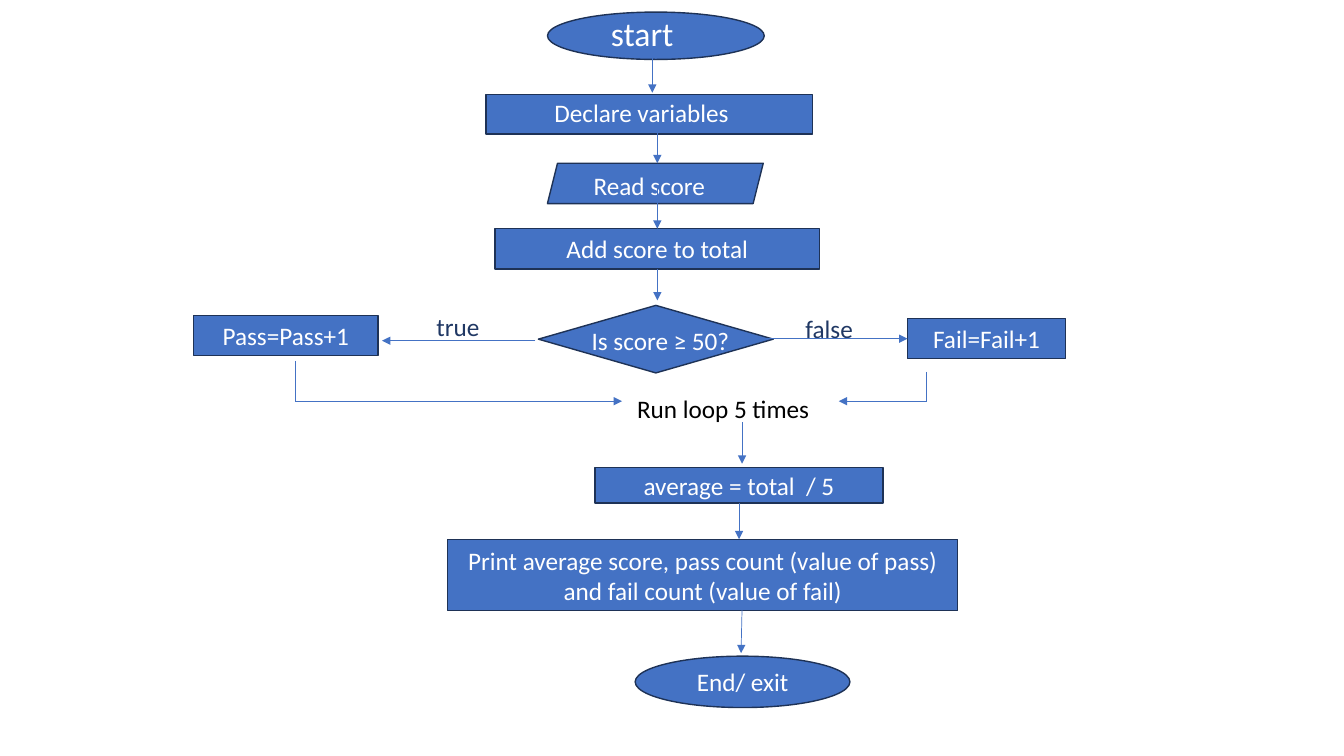
"""Build a flowchart slide that counts passing and failing scores."""
from lxml import etree
from pptx import Presentation
from pptx.dml.color import RGBColor
from pptx.enum import shapes, text
from pptx.oxml import ns
from pptx.util import Inches, Pt

BLUE = RGBColor(0x44, 0x72, 0xC4)
OUTLINE = RGBColor(0x1E, 0x32, 0x56)
NAVY = RGBColor(0x20, 0x38, 0x64)
WHITE = RGBColor(0xFF, 0xFF, 0xFF)
BLACK = RGBColor(0, 0, 0)
KIND = shapes.MSO_SHAPE

deck = Presentation()
deck.slide_width, deck.slide_height = Inches(13.33), Inches(7.5)
page = deck.slides.add_slide(deck.slide_layouts[6])


def write(box, words, size, color, align):
    box.text_frame.word_wrap = True
    para = box.text_frame.paragraphs[0]
    para.alignment = align
    span = para.add_run()
    span.text = words
    for name, value in {"name": "Calibri", "size": Pt(size)}.items():
        setattr(span.font, name, value)
    span.font.color.rgb = color


steps = {
    "start": (KIND.OVAL, 5.43, 0.12, 2.15, 0.47, ""),
    "declare": (KIND.RECTANGLE, 4.82, 0.94, 3.24, 0.39, ""),
    "read": (KIND.PARALLELOGRAM, 5.43, 1.62, 2.14, 0.4, ""),
    "add": (KIND.RECTANGLE, 4.91, 2.27, 3.22, 0.4, ""),
    "decision": (KIND.FLOWCHART_DECISION, 5.34, 3.03, 2.33, 0.67, ""),
    "pass": (KIND.RECTANGLE, 1.92, 3.13, 1.83, 0.4, "Pass=Pass+1"),
    "fail": (KIND.RECTANGLE, 9, 3.16, 1.57, 0.4, "Fail=Fail+1"),
    "average": (KIND.RECTANGLE, 5.9, 4.64, 2.86, 0.35, "average = total  / 5"),
    "print": (KIND.RECTANGLE, 4.44, 5.35, 5.06, 0.71,
              "Print average score, pass count (value of pass) and fail count (value of fail)"),
    "end": (KIND.OVAL, 6.3, 6.51, 2.13, 0.51, "End/ exit"),
}
step_shapes = {}
for name, (kind, left, top, width, height, words) in steps.items():
    shape = page.shapes.add_shape(kind, Inches(left), Inches(top), Inches(width), Inches(height))
    shape.shadow.inherit = False
    shape.fill.solid()
    shape.fill.fore_color.rgb = BLUE
    shape.line.color.rgb = OUTLINE
    shape.line.width = Pt(1)
    if words:
        shape.text_frame.vertical_anchor = text.MSO_ANCHOR.MIDDLE
        write(shape, words, 18, WHITE, text.PP_ALIGN.CENTER)
    step_shapes[name] = shape

labels = [
    ("start", 5.96, 0.08, 1.71, 0.5, 24, WHITE),
    ("Declare variables", 5.4, 0.92, 2.64, 0.4, 18, WHITE),
    ("Read score", 5.79, 1.64, 1.74, 0.4, 18, WHITE),
    ("Add score to total", 5.52, 2.27, 2.46, 0.4, 18, WHITE),
    ("Is score ≥ 50?", 5.77, 3.18, 1.6, 0.4, 18, WHITE),
    ("Run loop 5 times", 6.22, 3.85, 2.1, 0.4, 18, BLACK),
    ("true", 4.23, 3.04, 1.1, 0.4, 18, NAVY),
    ("false", 7.89, 3.06, 0.94, 0.4, 18, NAVY),
]
for words, left, top, width, height, size, color in labels:
    box = page.shapes.add_textbox(Inches(left), Inches(top), Inches(width), Inches(height))
    write(box, words, size, color, text.PP_ALIGN.LEFT)
    box.text_frame.auto_size = text.MSO_AUTO_SIZE.SHAPE_TO_FIT_TEXT

# from x, from y, to x, to y, arrowhead, joined start, joined end
connectors = [
    (6.47, 0.54, 6.47, 0.92, True, None, None),
    (6.52, 1.28, 6.52, 1.62, True, None, None),
    (6.52, 1.84, 6.52, 2.27, True, None, ("add", 0)),
    (6.52, 2.67, 6.52, 2.98, True, ("add", 2), None),
    (5.31, 3.38, 3.79, 3.38, True, None, None),
    (7.42, 3.36, 9, 3.36, True, None, ("fail", 1)),
    (2.93, 3.58, 2.93, 3.98, False, None, None),
    (9.19, 3.69, 9.19, 3.98, False, None, None),
    (2.93, 3.98, 6.17, 3.98, True, None, None),
    (9.19, 3.98, 8.32, 3.98, True, None, None),
    (7.36, 4.19, 7.36, 4.6, True, None, None),
    (7.33, 4.99, 7.33, 5.35, True, ("average", 2), None),
    (7.36, 6.03, 7.35, 6.48, True, None, None),
]
for x1, y1, x2, y2, arrow, start, end in connectors:
    line = page.shapes.add_connector(
        shapes.MSO_CONNECTOR.STRAIGHT, Inches(x1), Inches(y1), Inches(x2), Inches(y2))
    if start:
        line.begin_connect(step_shapes[start[0]], start[1])
    if end:
        line.end_connect(step_shapes[end[0]], end[1])
    line.line.color.rgb = BLUE
    line.line.width = Pt(0.5)
    if arrow:
        etree.SubElement(line.line._get_or_add_ln(), ns.qn("a:tailEnd"), type="triangle")
    etree.SubElement(line._element.spPr, ns.qn("a:effectLst"))

deck.save("out.pptx")
